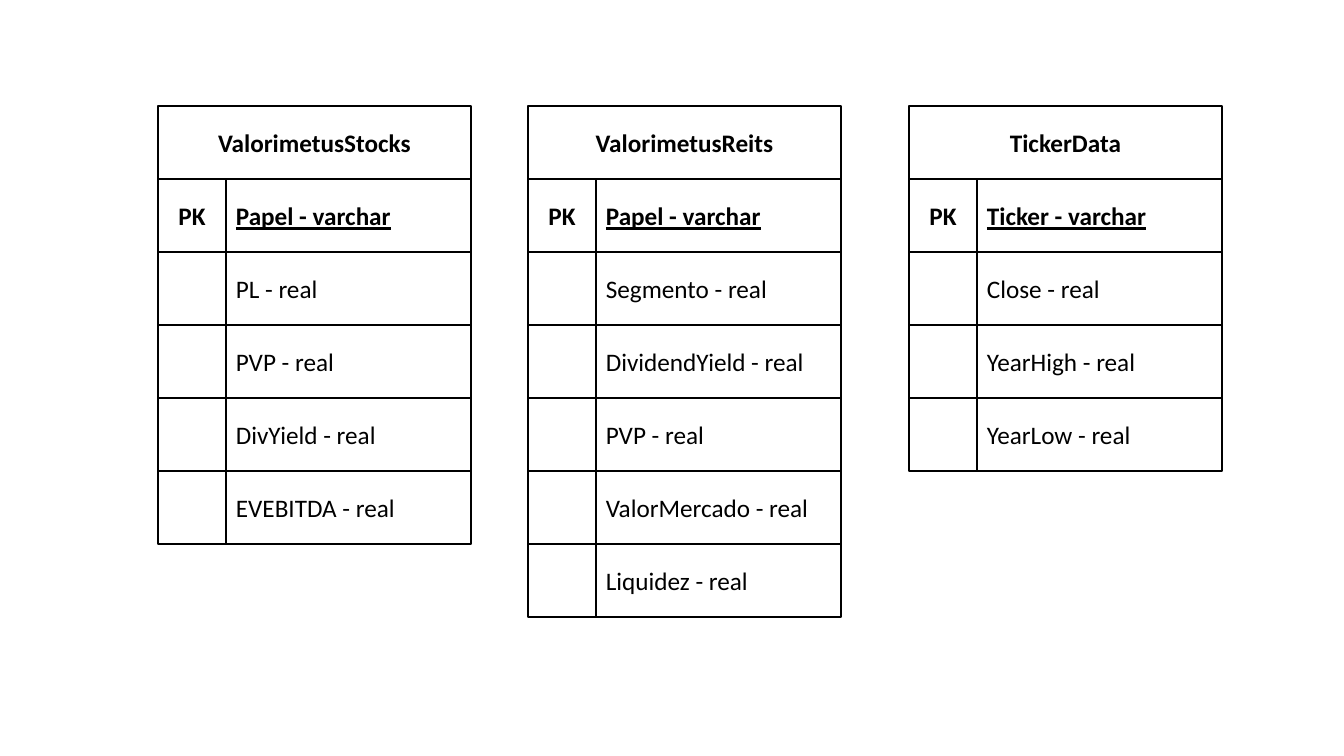
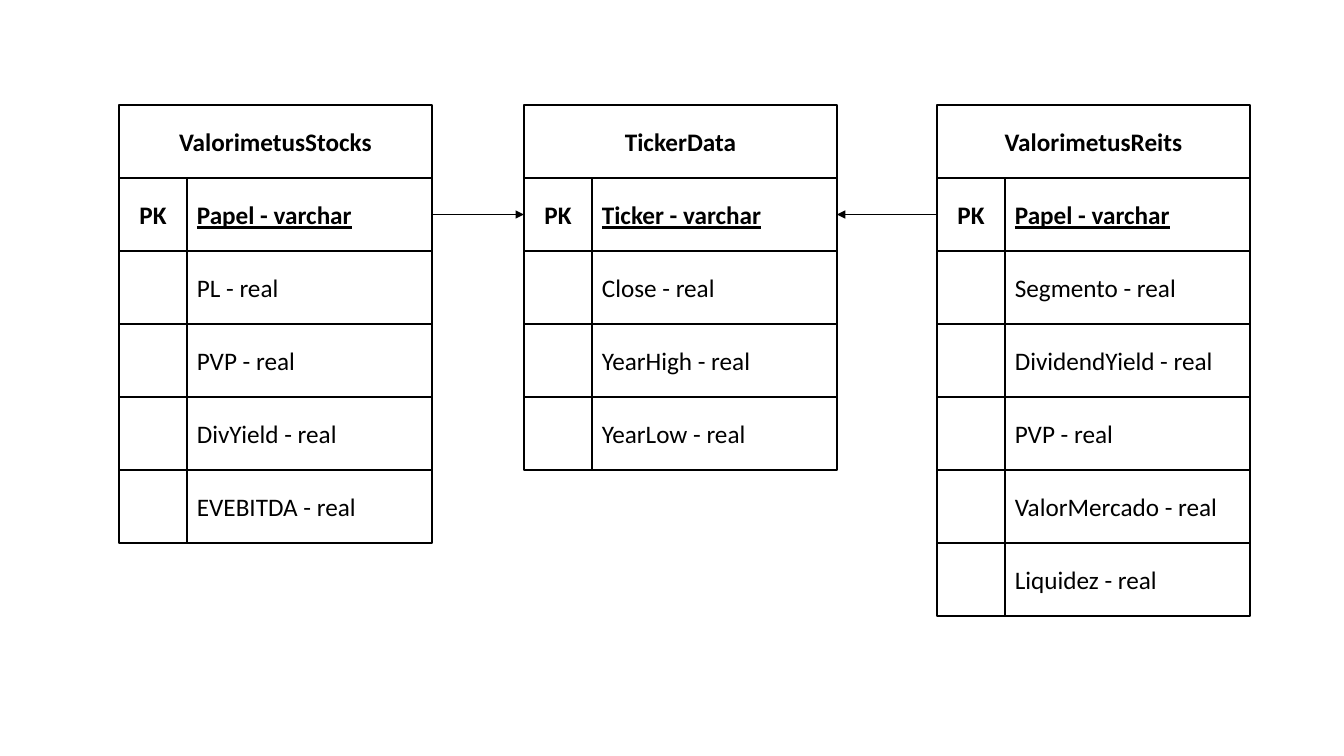
from lxml.etree import SubElement
from pptx import Presentation
from pptx.dml.color import RGBColor
from pptx.enum.shapes import MSO_CONNECTOR, MSO_SHAPE
from pptx.enum.text import MSO_ANCHOR, PP_ALIGN
from pptx.oxml.ns import qn
from pptx.util import Pt

SLIDE_W, SLIDE_H = 1344, 756
PX = 12192000 / SLIDE_W
KEY_W, FIELD_W, ROW_H = 68, 245, 73
LEFT_SIDE, RIGHT_SIDE = 1, 3
INK, FONT = "000000", "Calibri"

STOCKS = ("ValorimetusStocks", ["Papel - varchar", "PL - real", "PVP - real",
                                "DivYield - real", "EVEBITDA - real"])
REITS = ("ValorimetusReits", ["Papel - varchar", "Segmento - real",
                              "DividendYield - real", "PVP - real",
                              "ValorMercado - real", "Liquidez - real"])
TICKER = ("TickerData", ["Ticker - varchar", "Close - real",
                         "YearHigh - real", "YearLow - real"])


def px(n):
    """Turn pixels into EMU."""
    return round(n * PX)


def color(value):
    """Turn a hex string into a colour."""
    return RGBColor.from_string(value)


def outline(sp):
    """Give a shape or connector the shared line."""
    sp.line.color.rgb = color(INK)
    sp.line.width = Pt(1)


def add_cell(shapes, x, y, w, text="", align=PP_ALIGN.LEFT, bold=False, underline=False):
    """Draw one outlined cell of an entity."""
    sp = shapes.add_shape(MSO_SHAPE.RECTANGLE, px(x), px(y), px(w), px(ROW_H))
    sp.shadow.inherit = False
    sp.fill.background()
    outline(sp)
    if text:
        tf = sp.text_frame
        tf.word_wrap = True
        tf.vertical_anchor = MSO_ANCHOR.MIDDLE
        p = tf.paragraphs[0]
        p.text = text
        p.alignment = align
        font = p.font
        font.name, font.size = FONT, Pt(18)
        font.bold, font.underline = bold, underline
        font.color.rgb = color(INK)
    return sp


def add_entity(slide, entity, x, y):
    """Draw an entity and return its primary key cell and field cell."""
    name, fields = entity
    shapes = slide.shapes.add_group_shape().shapes
    add_cell(shapes, x, y, KEY_W + FIELD_W, name, PP_ALIGN.CENTER, bold=True)
    rows = []
    for i, field in enumerate(fields):
        row_y = y + (i + 1) * ROW_H
        is_pk = i == 0
        key = add_cell(shapes, x, row_y, KEY_W, "PK" if is_pk else "", PP_ALIGN.CENTER, bold=True)
        value = add_cell(shapes, x + KEY_W, row_y, FIELD_W, field, bold=is_pk, underline=is_pk)
        rows.append((key, value))
    return rows[0]


def add_arrow(slide, start, start_side, end, end_side):
    """Join two cells with an arrow."""
    cx = slide.shapes.add_connector(MSO_CONNECTOR.STRAIGHT, 0, 0, 0, 0)
    cx.begin_connect(start, start_side)
    cx.end_connect(end, end_side)
    outline(cx)
    sp_pr = cx.element.spPr
    SubElement(sp_pr.find(qn("a:ln")), qn("a:tailEnd"), type="triangle")
    SubElement(sp_pr, qn("a:effectLst"))


def build_tables(slide):
    """Place the three separate entities."""
    for entity, x in ((STOCKS, 158), (REITS, 528), (TICKER, 909)):
        add_entity(slide, entity, x, 106)


def build_relations(slide):
    """Place the entities and link both funds to the ticker."""
    top = 105
    _, stocks_field = add_entity(slide, STOCKS, 119, top)
    reits_key, _ = add_entity(slide, REITS, 937, top)
    ticker_key, ticker_field = add_entity(slide, TICKER, 524, top)
    add_arrow(slide, stocks_field, RIGHT_SIDE, ticker_key, LEFT_SIDE)
    add_arrow(slide, reits_key, LEFT_SIDE, ticker_field, RIGHT_SIDE)


def main():
    """Build and save the presentation."""
    prs = Presentation()
    prs.slide_width, prs.slide_height = px(SLIDE_W), px(SLIDE_H)
    for build in (build_tables, build_relations):
        build(prs.slides.add_slide(prs.slide_layouts[6]))
    prs.save("out.pptx")


if __name__ == "__main__":
    main()
